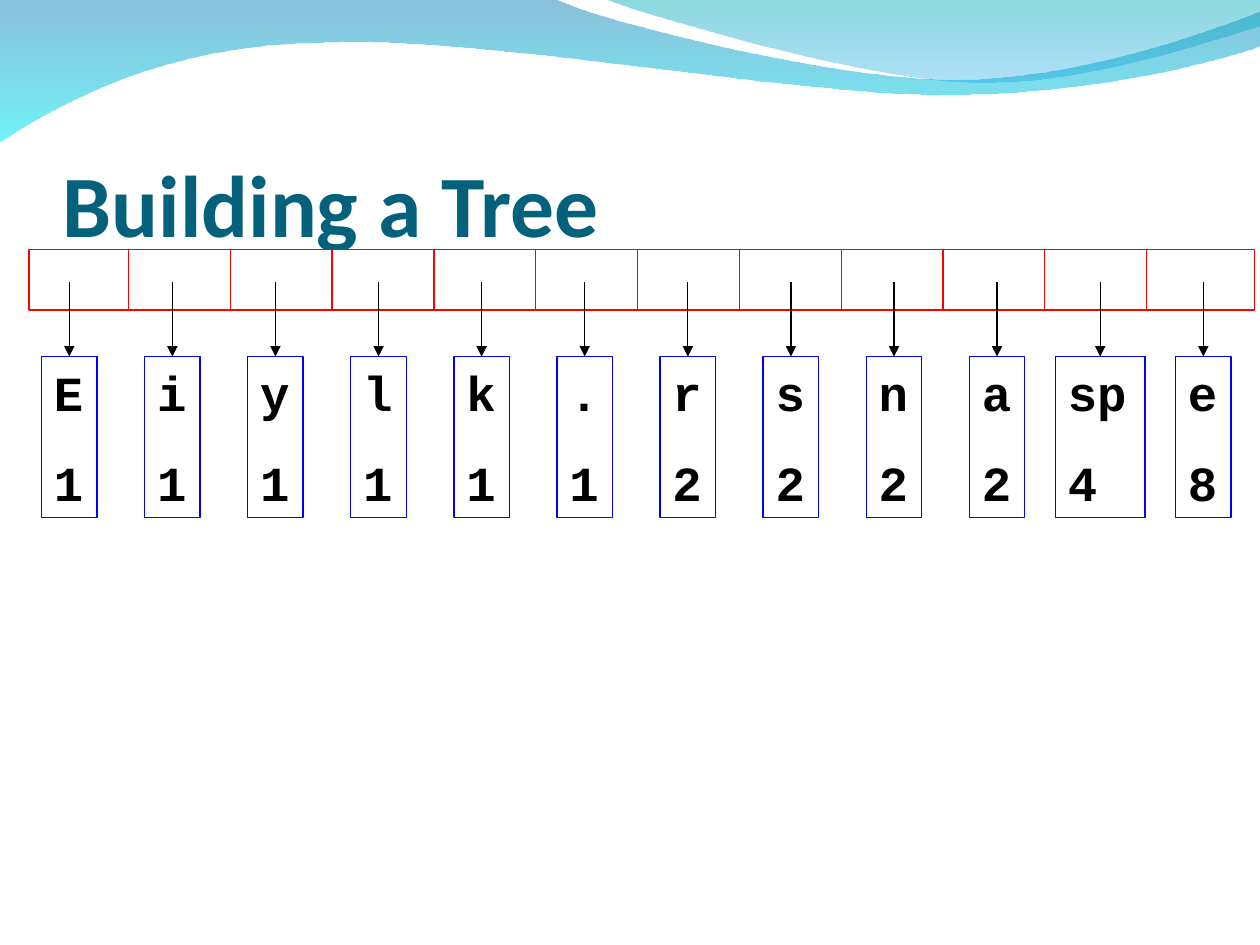
from lxml import etree
from pptx import Presentation
from pptx.dml.color import RGBColor
from pptx.enum.shapes import MSO_CONNECTOR, MSO_SHAPE
from pptx.enum.text import MSO_ANCHOR, PP_ALIGN
from pptx.oxml.ns import qn
from pptx.util import Inches, Pt

STRAIGHT = MSO_CONNECTOR.STRAIGHT
RECT = MSO_SHAPE.RECTANGLE
TOP, BOTTOM = MSO_ANCHOR.TOP, MSO_ANCHOR.BOTTOM
LEFT = PP_ALIGN.LEFT

COLORS = {
    "title": "04617B", "queue": "FF0000", "node": "0000FF",
    "ink": "000000", "paper": "FFFFFF",
    "wave_top": "0079AF", "wave_end": "00EBF8",
    "crest_top": "00ADB6", "crest_end": "009BE5",
}
RGB = {name: RGBColor.from_string(value) for name, value in COLORS.items()}

prs = Presentation()
prs.slide_width, prs.slide_height = Inches(10), Inches(7.5)
s = prs.slides.add_slide(prs.slide_layouts[6])


def add_wave(start, segments, stops):
    """Draw a closed outline of lines (one point) and Bezier curves (three points)."""
    points = [(Inches(x), Inches(y)) for x, y in [start, *sum(segments, [])]]
    fb = s.shapes.build_freeform(*points[0])
    fb.add_line_segments(points[1:], close=True)
    sp = fb.convert_to_shape()
    sp.shadow.inherit = False
    sp.line.fill.background()

    # Join each run of three points into one curve
    lines = iter(list(sp.element.spPr.iter(qn("a:lnTo"))))
    for seg in segments:
        first, *rest = [next(lines) for _ in seg]
        if rest:
            first.tag = qn("a:cubicBezTo")
            for line in rest:
                first.append(line[0])
                line.getparent().remove(line)

    sp.fill.gradient()
    sp.fill.gradient_angle = 270
    for stop, (position, color, _) in zip(sp.fill.gradient_stops, stops):
        stop.position = position
        stop.color.rgb = RGB[color]
    for clr, (_, _, opacity) in zip(sp.element.spPr.iter(qn("a:srgbClr")), stops):
        etree.SubElement(clr, qn("a:alpha")).set("val", str(opacity * 1000))


def add_line(x, y1, y2, color):
    line = s.shapes.add_connector(STRAIGHT, Inches(x), Inches(y1), Inches(x), Inches(y2))
    line.line.color.rgb = RGB[color]
    line.line.width = Pt(0.75)
    etree.SubElement(line.element.spPr, qn("a:effectLst"))
    return line


# Waves along the top edge
add_wave((0, -0.01), [
    [(4.4, -0.01)],
    [(4.76, 0.17), (6.64, 0.63), (7.58, 0.63)],
    [(8.53, 0.63), (9.58, 0.26), (10, 0.09)],
    [(10.01, 0.36)],
    [(9.83, 0.44), (8.7, 0.76), (7.46, 0.75)],
    [(6.22, 0.75), (3.82, 0.28), (2.57, 0.34)],
    [(1.29, 0.35), (0.46, 0.83), (-0.01, 1.13)],
], [(0, "wave_top", 46), (1, "wave_end", 56)])
add_wave((4.79, -0.01), [
    [(5.09, 0.11), (6.82, 0.62), (7.69, 0.65)],
    [(8.56, 0.69), (9.61, 0.32), (10, 0.21)],
    [(10, 0)],
], [(0, "crest_top", 46), (1, "crest_end", 31)])

# Title
tf = s.shapes.add_textbox(Inches(0.5), Inches(0.77), Inches(9), Inches(1.25)).text_frame
tf.word_wrap = True
tf.vertical_anchor = BOTTOM
tf.margin_left = tf.margin_right = tf.margin_bottom = 0
tf.margin_top = Inches(0.05)
p = tf.paragraphs[0]
p.text = "Building a Tree"
p.font.name, p.font.size, p.font.bold = "Calibri", Pt(50), True
p.font.color.rgb = RGB["title"]

# Priority queue: one bar cut into twelve cells
queue_top, queue_height = 1.98, 0.48
bar = s.shapes.add_shape(RECT, Inches(0.23), Inches(queue_top), Inches(9.73), Inches(queue_height))
bar.shadow.inherit = False
bar.fill.solid()
bar.fill.fore_color.rgb = RGB["paper"]
bar.line.color.rgb = RGB["queue"]
bar.line.width = Pt(0.75)
for i in range(11):
    add_line(1.02 + i * 8.08 / 10, queue_top, queue_top + queue_height, "queue")

# Leaf nodes, each with its character and frequency, and an arrow from its cell
leaves = [("E", 1), ("i", 1), ("y", 1), ("l", 1), ("k", 1), (".", 1),
          ("r", 2), ("s", 2), ("n", 2), ("a", 2), ("sp", 4), ("e", 8)]
node_top = 2.83
for i, (char, freq) in enumerate(leaves):
    center = 0.55 + i * 9 / 11
    width = 0.44 if len(char) == 1 else 0.71
    node = s.shapes.add_shape(RECT, Inches(center - width / 2), Inches(node_top),
                              Inches(width), Inches(1.28))
    node.shadow.inherit = False
    node.fill.background()
    node.line.color.rgb = RGB["node"]
    node.line.width = Pt(0.75)
    tf = node.text_frame
    tf.word_wrap = False
    tf.vertical_anchor = TOP
    tf.text = f"{char}\n{freq}"
    for p in tf.paragraphs:
        p.alignment = LEFT
        p.font.name, p.font.size, p.font.bold = "Courier New", Pt(28), True
        p.font.color.rgb = RGB["ink"]
    p.space_before = Pt(17.5)

    arrow = add_line(center, 2.24, node_top, "ink")
    arrow.end_connect(node, 0)
    ln = arrow.element.spPr.find(qn("a:ln"))
    etree.SubElement(ln, qn("a:tailEnd")).set("type", "triangle")

prs.save("out.pptx")
